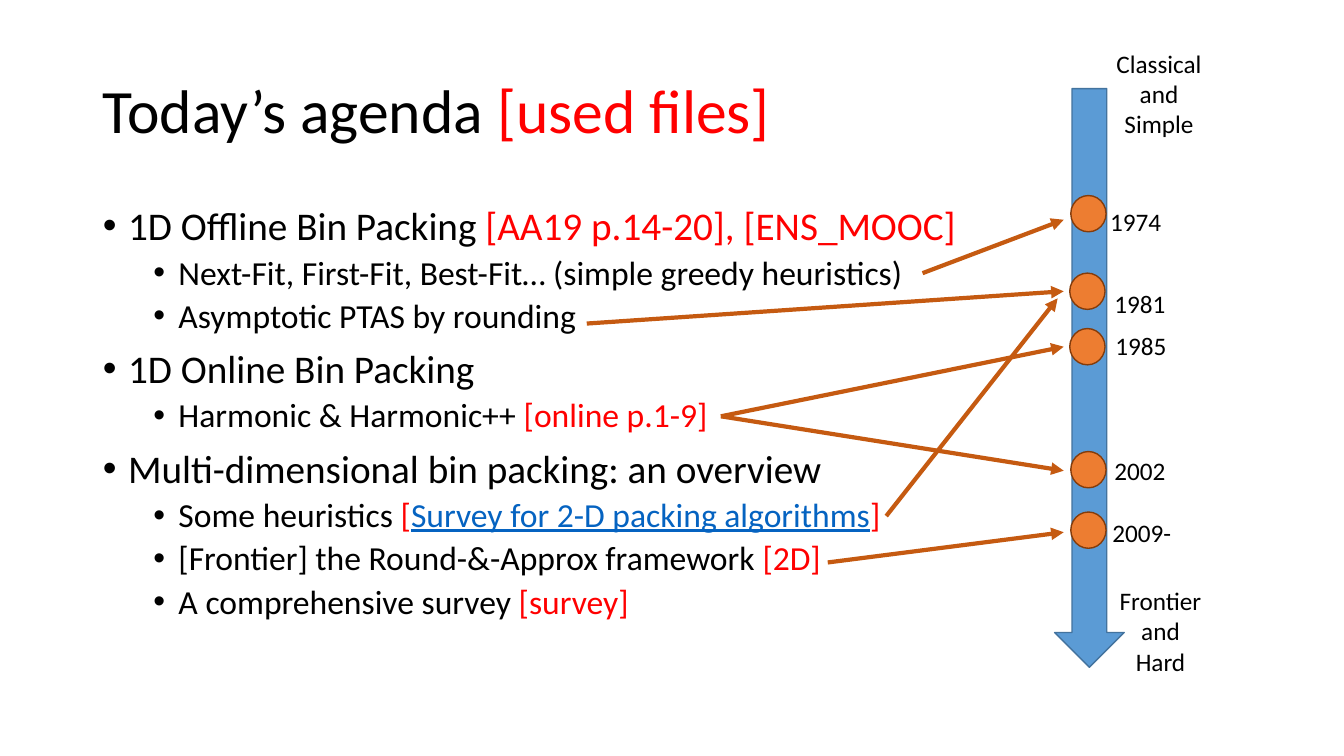
from dataclasses import dataclass
from typing import NamedTuple

from lxml import etree
from pptx import Presentation
from pptx.dml.color import RGBColor
from pptx.enum.shapes import MSO_CONNECTOR, MSO_SHAPE
from pptx.enum.text import MSO_ANCHOR, MSO_AUTO_SIZE, PP_ALIGN
from pptx.oxml.ns import qn
from pptx.util import Inches, Pt

DOWN_ARROW, OVAL = MSO_SHAPE.DOWN_ARROW, MSO_SHAPE.OVAL
STRAIGHT = MSO_CONNECTOR.STRAIGHT
MIDDLE, TOP = MSO_ANCHOR.MIDDLE, MSO_ANCHOR.TOP
NO_FIT, GROW = MSO_AUTO_SIZE.NONE, MSO_AUTO_SIZE.SHAPE_TO_FIT_TEXT
LEFT, CENTER = PP_ALIGN.LEFT, PP_ALIGN.CENTER


@dataclass(frozen=True)
class Theme:
    font: str = "Calibri"
    text: str = "000000"
    reference: str = "FF0000"
    survey: str = "0563C1"
    axis: str = "5B9BD5"
    axis_edge: str = "43739E"
    dot: str = "ED7D31"
    dot_edge: str = "843C0B"
    pointer: str = "C55A11"
    title_size: int = 44
    level_sizes: tuple = (28, 24)
    label_size: int = 18


THEME = Theme()


class Span(NamedTuple):
    text: str
    color: str = THEME.text
    underline: bool = False


class AgendaItem(NamedTuple):
    level: int
    spans: list


class Label(NamedTuple):
    lines: list
    left: float
    top: float
    width: float
    height: float


class Milestone(NamedTuple):
    year: str
    dot_left: float
    dot_top: float
    label_left: float
    label_top: float
    label_width: float = 0.71


class Pointer(NamedTuple):
    start: tuple
    end: tuple


def reference(text: str) -> Span:
    return Span(text, THEME.reference)


TITLE = [Span("Today’s agenda "), reference("[used files]")]
AGENDA = [
    AgendaItem(0, [Span("1D Offline Bin Packing "), reference("[AA19 p.14-20], [ENS_MOOC]")]),
    AgendaItem(1, [Span("Next-Fit, First-Fit, Best-Fit… (simple greedy heuristics)")]),
    AgendaItem(1, [Span("Asymptotic PTAS by rounding")]),
    AgendaItem(0, [Span("1D Online Bin Packing ")]),
    AgendaItem(1, [Span("Harmonic & Harmonic++ "), reference("[online p.1-9]")]),
    AgendaItem(0, [Span("Multi-dimensional bin packing: an overview")]),
    AgendaItem(1, [Span("Some heuristics "), reference("["),
                   Span("Survey for 2-D packing algorithms", THEME.survey, True),
                   reference("]")]),
    AgendaItem(1, [Span("[Frontier] the Round-&-Approx framework "), reference("[2D]")]),
    AgendaItem(1, [Span("A comprehensive survey "), reference("[survey]")]),
]
AXIS_ENDS = [
    Label(["Classical", "and", "Simple"], 10.97, 0.43, 1.05, 1.01),
    Label(["Frontier", "and", "Hard"], 11, 5.76, 1.02, 1.01),
]
MILESTONES = [
    Milestone("1974", 10.62, 1.94, 10.91, 2),
    Milestone("1981", 10.61, 2.71, 10.95, 2.81),
    Milestone("1985", 10.61, 3.26, 10.96, 3.23),
    Milestone("2002", 10.62, 4.48, 10.95, 4.47),
    Milestone("2009-", 10.62, 5.08, 10.93, 5.08, 0.79),
]
HARMONIC = (7.15, 4.13)
POINTERS = [
    Pointer((9.15, 2.71), (10.55, 2.18)),
    Pointer((5.82, 3.21), (10.55, 2.89)),
    Pointer(HARMONIC, (10.55, 3.44)),
    Pointer(HARMONIC, (10.55, 4.67)),
    Pointer((8.21, 5.58), (10.55, 5.28)),
    Pointer((8.79, 5.12), (10.49, 2.96)),
]


def color(value: str) -> RGBColor:
    return RGBColor.from_string(value)


def place(shape, left: float, top: float, width: float, height: float) -> None:
    shape.left, shape.top = Inches(left), Inches(top)
    shape.width, shape.height = Inches(width), Inches(height)


def write(paragraph, spans: list, size: int) -> None:
    paragraph.font.name = THEME.font
    paragraph.font.size = Pt(size)
    for span in spans:
        run = paragraph.add_run()
        run.text = span.text
        run.font.color.rgb = color(span.color)
        if span.underline:
            run.font.underline = True


def paragraphs(frame, count: int) -> list:
    return [frame.paragraphs[0]] + [frame.add_paragraph() for _ in range(count - 1)]


def fill_title(shape) -> None:
    place(shape, 0.92, 0.4, 11.5, 1.45)
    frame = shape.text_frame
    frame.auto_size, frame.vertical_anchor = NO_FIT, MIDDLE
    paragraph = frame.paragraphs[0]
    paragraph.alignment, paragraph.line_spacing = LEFT, 0.9
    write(paragraph, TITLE, THEME.title_size)


def fill_agenda(shape) -> None:
    place(shape, 0.92, 2, 11.5, 5.36)
    frame = shape.text_frame
    frame.auto_size, frame.vertical_anchor = NO_FIT, TOP
    for paragraph, item in zip(paragraphs(frame, len(AGENDA)), AGENDA):
        paragraph.level = item.level
        paragraph.line_spacing = 0.9
        paragraph.space_before = Pt(10 - 5 * item.level)
        # Bullet and hanging indent
        properties = paragraph._p.get_or_add_pPr()
        properties.set("marL", str(Inches(0.25 + 0.5 * item.level)))
        properties.set("indent", str(Inches(-0.25)))
        etree.SubElement(properties, qn("a:buFont")).set("typeface", "Arial")
        etree.SubElement(properties, qn("a:buChar")).set("char", "•")
        write(paragraph, item.spans, THEME.level_sizes[item.level])


def add_solid(slide, kind, box: tuple, fill: str, edge: str) -> None:
    shape = slide.shapes.add_shape(kind, *map(Inches, box))
    shape.shadow.inherit = False
    shape.fill.solid()
    shape.fill.fore_color.rgb = color(fill)
    shape.line.color.rgb = color(edge)
    shape.line.width = Pt(1)


def add_label(slide, label: Label) -> None:
    frame = slide.shapes.add_textbox(*map(Inches, label[1:])).text_frame
    frame.word_wrap, frame.auto_size = False, GROW
    for paragraph, line in zip(paragraphs(frame, len(label.lines)), label.lines):
        paragraph.alignment = CENTER
        write(paragraph, [Span(line)], THEME.label_size)


def add_milestone(slide, milestone: Milestone) -> None:
    dot_box = (milestone.dot_left, milestone.dot_top, 0.35, 0.36)
    add_solid(slide, OVAL, dot_box, THEME.dot, THEME.dot_edge)
    add_label(slide, Label([milestone.year], milestone.label_left, milestone.label_top,
                           milestone.label_width, 0.4))


def add_pointer(slide, pointer: Pointer) -> None:
    ends = map(Inches, pointer.start + pointer.end)
    connector = slide.shapes.add_connector(STRAIGHT, *ends)
    connector.line.color.rgb = color(THEME.pointer)
    connector.line.width = Pt(3)
    properties = connector._element.spPr
    etree.SubElement(properties.find(qn("a:ln")), qn("a:tailEnd")).set("type", "triangle")
    etree.SubElement(properties, qn("a:effectLst"))


presentation = Presentation()
presentation.slide_width, presentation.slide_height = Inches(13.33), Inches(7.5)
slide = presentation.slides.add_slide(presentation.slide_layouts[1])

# Title and agenda list
fill_title(slide.shapes.title)
fill_agenda(slide.placeholders[1])

# Timeline from classical to frontier
add_solid(slide, DOWN_ARROW, (10.46, 0.88, 0.69, 5.74), THEME.axis, THEME.axis_edge)
for axis_end in AXIS_ENDS:
    add_label(slide, axis_end)
for milestone in MILESTONES:
    add_milestone(slide, milestone)

# Pointers from agenda items to their years
for pointer in POINTERS:
    add_pointer(slide, pointer)

presentation.save("out.pptx")
